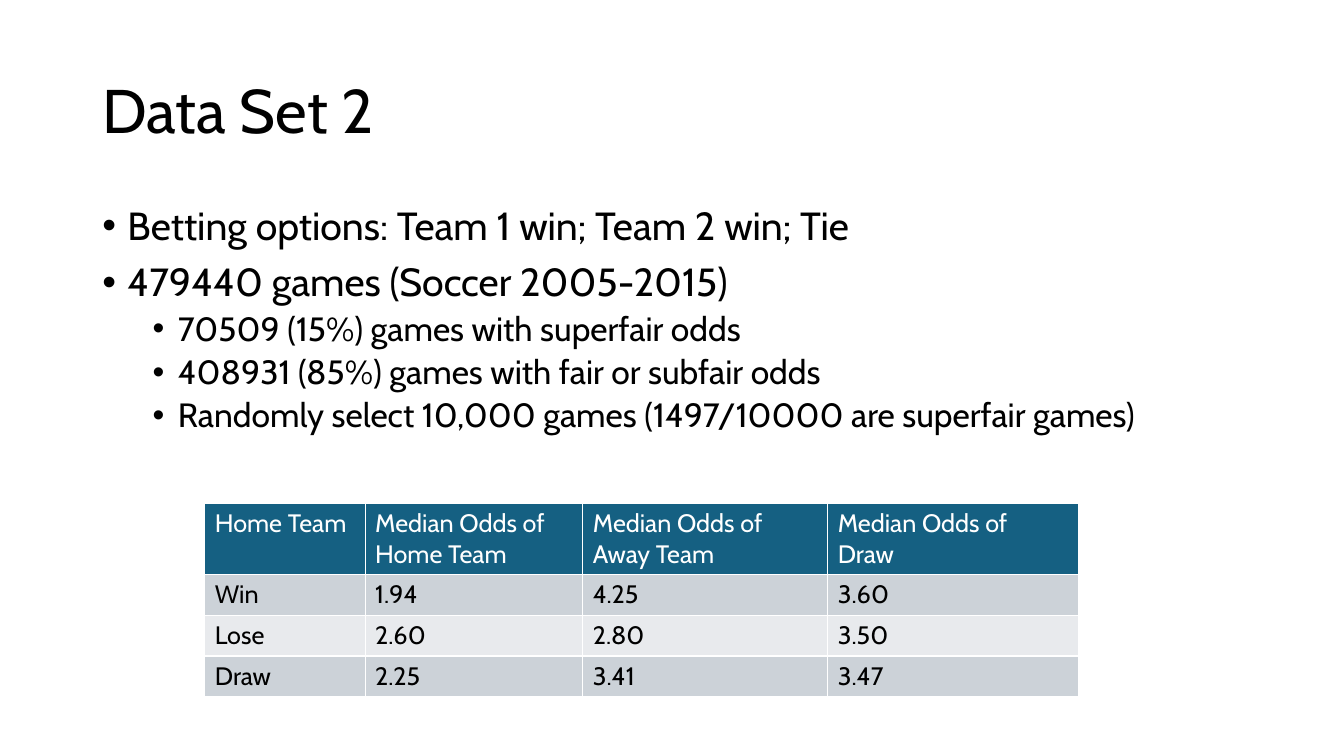
from dataclasses import dataclass

from lxml import etree
from pptx import Presentation
from pptx.dml.color import RGBColor
from pptx.enum.text import MSO_ANCHOR
from pptx.oxml.ns import qn
from pptx.util import Pt

TOP = MSO_ANCHOR.TOP
MIDDLE = MSO_ANCHOR.MIDDLE


@dataclass(frozen=True)
class Theme:
    font: str = "Cabin"
    ink: str = "000000"
    paper: str = "FFFFFF"
    header: str = "156082"
    bands: tuple = ("CCD2D8", "E8EAED")
    title_size: int = 44
    bullet_sizes: tuple = (28, 24)
    table_size: int = 18


THEME = Theme()

FACTS = [
    (0, "Betting options: Team 1 win; Team 2 win; Tie"),
    (0, "479440 games (Soccer 2005-2015)"),
    (1, "70509 (15%) games with superfair odds"),
    (1, "408931 (85%) games with fair or subfair odds"),
    (1, "Randomly select 10,000 games (1497/10000 are superfair games)"),
]

ODDS = [
    ("Home Team", "Median Odds of Home Team", "Median Odds of Away Team", "Median Odds of Draw"),
    ("Win", "1.94", "4.25", "3.60"),
    ("Lose", "2.60", "2.80", "3.50"),
    ("Draw", "2.25", "3.41", "3.47"),
]
COLUMN_WIDTHS = (114.5, 155.5, 175, 179.5)
ROW_HEIGHTS = (50.9, 29.2, 29.2, 29.2)


def write(paragraph, text, *, size, color=THEME.ink, line_spacing=None, space_before=0):
    run = paragraph.add_run()
    run.text = text
    run.font.name = THEME.font
    run.font.size = Pt(size)
    run.font.bold = False
    run.font.color.rgb = RGBColor.from_string(color)
    paragraph.space_before = Pt(space_before)
    if line_spacing:
        paragraph.line_spacing = line_spacing


def add_text_frame(slide, left, top, width, height, anchor):
    frame = slide.shapes.add_textbox(Pt(left), Pt(top), Pt(width), Pt(height)).text_frame
    frame.word_wrap = True
    frame.vertical_anchor = anchor
    return frame


def set_bullet(paragraph, level):
    """Give a paragraph a hanging bullet, indented by its level."""
    paragraph.level = level
    properties = paragraph._p.get_or_add_pPr()
    properties.set("marL", str(Pt(18 + 36 * level)))
    properties.set("indent", str(Pt(-18)))
    etree.SubElement(properties, qn("a:buFont"), typeface="Arial")
    etree.SubElement(properties, qn("a:buChar"), char="•")


def set_borders(cell, color, width):
    properties = cell._tc.get_or_add_tcPr()
    for side in ("a:lnL", "a:lnR", "a:lnT", "a:lnB"):
        line = etree.SubElement(properties, qn(side), w=str(Pt(width)))
        fill = etree.SubElement(line, qn("a:solidFill"))
        etree.SubElement(fill, qn("a:srgbClr"), val=color)


def add_title(slide, text):
    frame = add_text_frame(slide, 66, 28.8, 828, 104.4, MIDDLE)
    write(frame.paragraphs[0], text, size=THEME.title_size, line_spacing=0.9)


def add_bullets(slide, facts):
    frame = add_text_frame(slide, 66, 144, 828, 342.7, TOP)
    for index, (level, text) in enumerate(facts):
        paragraph = frame.add_paragraph() if index else frame.paragraphs[0]
        write(paragraph, text, size=THEME.bullet_sizes[level],
              line_spacing=0.9, space_before=5 if level else 10)
        set_bullet(paragraph, level)


def add_odds_table(slide, rows):
    table = slide.shapes.add_table(
        len(rows), len(rows[0]), Pt(146.3), Pt(359.3),
        Pt(sum(COLUMN_WIDTHS)), Pt(sum(ROW_HEIGHTS))).table
    for column, width in zip(table.columns, COLUMN_WIDTHS):
        column.width = Pt(width)
    for row, height in zip(table.rows, ROW_HEIGHTS):
        row.height = Pt(height)
    for row_index, texts in enumerate(rows):
        is_header = row_index == 0
        background = THEME.header if is_header else THEME.bands[(row_index - 1) % 2]
        for column_index, text in enumerate(texts):
            cell = table.cell(row_index, column_index)
            set_borders(cell, THEME.paper, 1)
            cell.fill.solid()
            cell.fill.fore_color.rgb = RGBColor.from_string(background)
            write(cell.text_frame.paragraphs[0], text, size=THEME.table_size,
                  color=THEME.paper if is_header else THEME.ink)


def main():
    presentation = Presentation()
    presentation.slide_width = Pt(960)
    presentation.slide_height = Pt(540)
    slide = presentation.slides.add_slide(presentation.slide_layouts[6])
    add_title(slide, "Data Set 2")
    add_bullets(slide, FACTS)
    add_odds_table(slide, ODDS)
    presentation.save("out.pptx")


if __name__ == "__main__":
    main()
